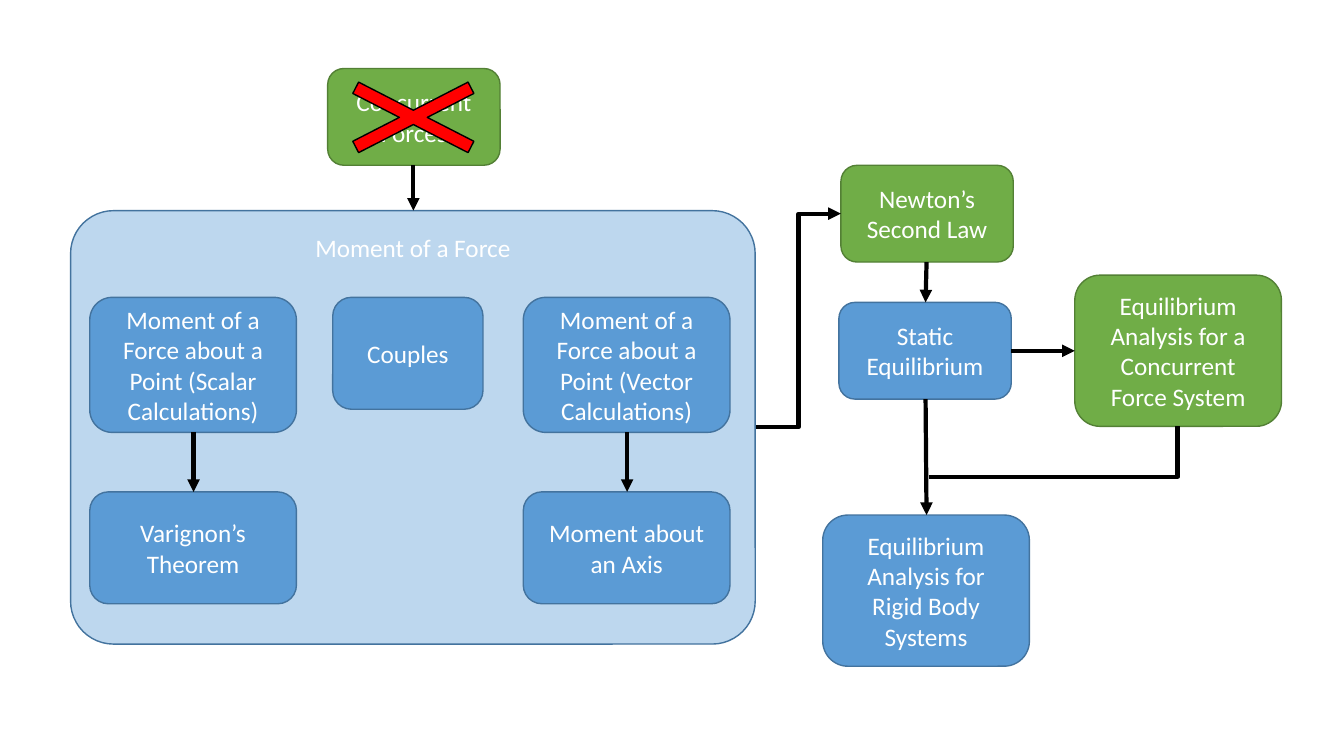
from lxml import etree
from pptx import Presentation
from pptx.dml.color import RGBColor
from pptx.enum import shapes, text
from pptx.oxml import ns
from pptx.util import Inches, Pt

THEME = {
    "blue": ("5B9BD5", "43739E"),
    "green": ("70AD47", "538035"),
    "pale": ("BDD7EE", "43739E"),
    "red": ("FF0000", "000000"),
    "arrow": "000000",
    "text": RGBColor.from_string("FFFFFF"),
    "font": "Calibri",
    "size": Pt(18),
    "outline": Pt(1),
    "stroke": Pt(3),
}
FONT_FORMAT = {"name": THEME["font"], "size": THEME["size"]}
FRAME_FORMAT = {"word_wrap": True, "vertical_anchor": text.MSO_ANCHOR.MIDDLE}

deck = Presentation()
deck.slide_width, deck.slide_height = Inches(13.33), Inches(7.5)
page = deck.slides.add_slide(deck.slide_layouts[6])


def add_box(left, top, width, height, colour, label="",
            kind=shapes.MSO_SHAPE.ROUNDED_RECTANGLE):
    box = page.shapes.add_shape(
        kind, Inches(left), Inches(top), Inches(width), Inches(height))
    box.shadow.inherit = False
    fill, outline = THEME[colour]
    box.fill.solid()
    box.fill.fore_color.rgb = RGBColor.from_string(fill)
    box.line.color.rgb = RGBColor.from_string(outline)
    box.line.width = THEME["outline"]
    if label:
        for name, value in FRAME_FORMAT.items():
            setattr(box.text_frame, name, value)
        para = box.text_frame.paragraphs[0]
        para.alignment = text.PP_ALIGN.CENTER
        span = para.add_run()
        span.text = label
        for name, value in FONT_FORMAT.items():
            setattr(span.font, name, value)
        span.font.color.rgb = THEME["text"]
    return box


def add_link(kind, start, end, arrow=True):
    link = page.shapes.add_connector(
        kind, *(Inches(value) for value in (*start, *end)))
    link.line.color.rgb = RGBColor.from_string(THEME["arrow"])
    link.line.width = THEME["stroke"]
    if arrow:
        etree.SubElement(link.line._get_or_add_ln(), ns.qn("a:tailEnd"), type="triangle")
    etree.SubElement(link._element.spPr, ns.qn("a:effectLst"))
    return link


# Group of moment topics, headed at its top edge
group = add_box(0.7, 2.09, 6.79, 4.3, "pale", "Moment of a Force")
group.adjustments[0] = 0.099
group.text_frame.vertical_anchor = text.MSO_ANCHOR.TOP
group.text_frame.margin_top = Inches(0.09)

# Topics: left, top, width, height, colour, label
SMALL, WIDE = (1.71, 0.96), 2.05
LEFT_COLUMN, RIGHT_COLUMN = 0.89, 5.19
UPPER_ROW, LOWER_ROW = 2.95, 4.88
topics = [
    (LEFT_COLUMN, UPPER_ROW, WIDE, 1.34, "blue",
     "Moment of a Force about a Point (Scalar Calculations)"),
    (3.3, UPPER_ROW, 1.49, 1.11, "blue", "Couples"),
    (RIGHT_COLUMN, UPPER_ROW, WIDE, 1.34, "blue",
     "Moment of a Force about a Point (Vector Calculations)"),
    (LEFT_COLUMN, LOWER_ROW, WIDE, 1.11, "blue", "Varignon’s Theorem"),
    (RIGHT_COLUMN, LOWER_ROW, WIDE, 1.11, "blue", "Moment about an Axis"),
    (3.25, 0.68, *SMALL, "green", "Concurrent Forces"),
    (8.34, 1.64, *SMALL, "green", "Newton’s Second Law"),
    (8.32, 3, *SMALL, "blue", "Static Equilibrium"),
    (10.66, 2.73, WIDE, 1.5, "green",
     "Equilibrium Analysis for a Concurrent Force System"),
    (8.16, 5.11, WIDE, 1.5, "blue",
     "Equilibrium Analysis for Rigid Body Systems"),
]
for topic in topics:
    add_box(*topic)

cross = add_box(3, 0.6, 2.2, 1.13, "red", kind=shapes.MSO_SHAPE.MATH_MULTIPLY)
cross.adjustments[0] = 0.112

# Straight arrows between topics
for start, end in [
    ((4.1, 1.64), (4.1, 2.09)),
    ((1.92, 4.29), (1.92, LOWER_ROW)),
    ((6.22, 4.29), (6.22, LOWER_ROW)),
    ((9.19, 2.6), (9.18, 3)),
    ((9.18, 3.96), (9.19, 5.11)),
    ((10.03, 3.48), (10.66, 3.48)),
]:
    add_link(shapes.MSO_CONNECTOR.STRAIGHT, start, end)

# Elbows: moments to Newton's law, and the concurrent case joining the main path
add_link(shapes.MSO_CONNECTOR.ELBOW, (7.5, 4.24), (8.34, 2.12))
joint = add_link(shapes.MSO_CONNECTOR.ELBOW, (9.21, 4.73), (11.68, 4.23), arrow=False)
joint._element.spPr.find(ns.qn("a:prstGeom")).set("prst", "bentConnector2")

deck.save("out.pptx")
